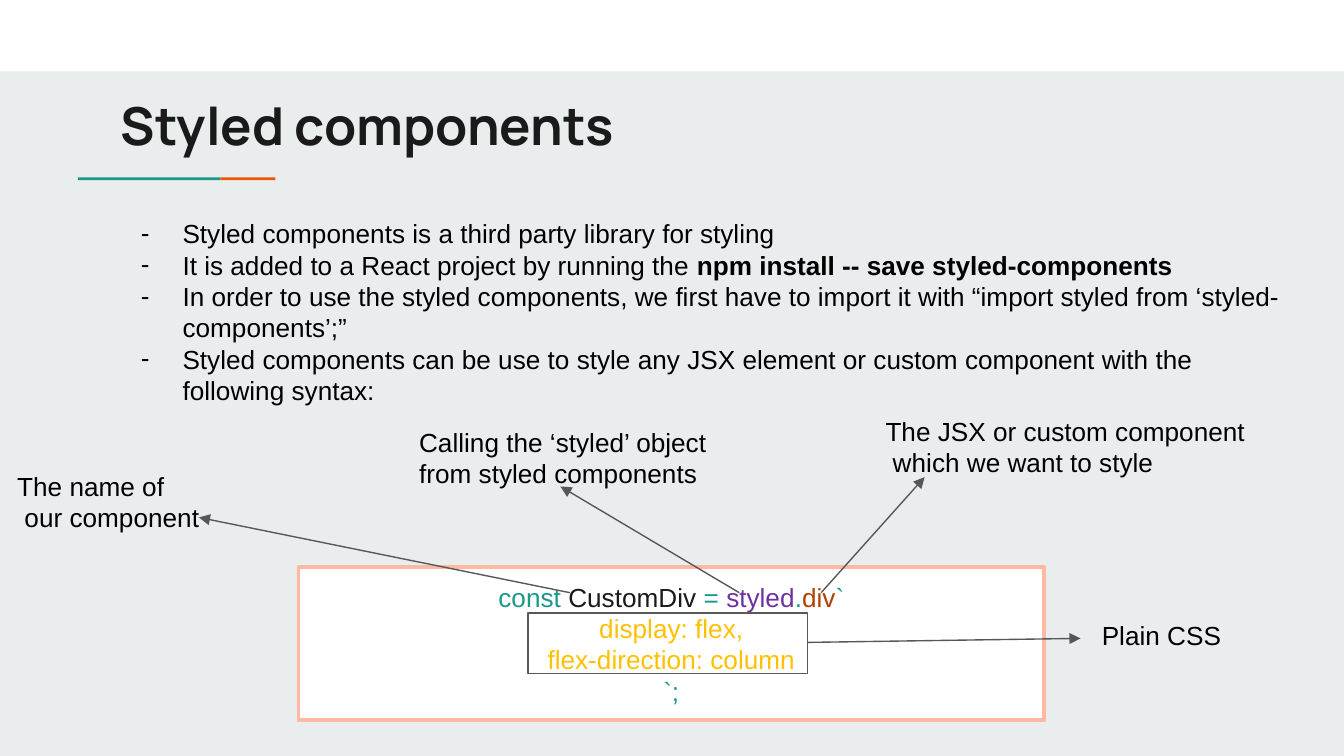
from dataclasses import dataclass

from lxml import etree
from pptx import Presentation
from pptx.dml.color import RGBColor
from pptx.enum.shapes import MSO_CONNECTOR, MSO_SHAPE
from pptx.enum.text import MSO_ANCHOR, PP_ALIGN
from pptx.oxml.ns import qn
from pptx.util import Inches, Pt

RECT = MSO_SHAPE.RECTANGLE
STRAIGHT = MSO_CONNECTOR.STRAIGHT
TOP, MIDDLE = MSO_ANCHOR.TOP, MSO_ANCHOR.MIDDLE
LEFT, CENTER = PP_ALIGN.LEFT, PP_ALIGN.CENTER


@dataclass(frozen=True)
class Theme:
    background: str = "E9EDEE"
    white: str = "FFFFFF"
    black: str = "000000"
    ink: str = "1A1A1A"
    teal: str = "1A9988"
    orange: str = "EB5600"
    peach: str = "FFB8A2"
    purple: str = "7030A0"
    rust: str = "B04100"
    yellow: str = "FFC000"
    frame: str = "595959"
    arrow: str = "575757"
    title_font: str = "Manrope"
    body_font: str = "Arial"
    title_size: int = 28
    body_size: int = 14


THEME = Theme()


def rgb(color):
    return RGBColor.from_string(color)


def add_bullet(p, char="-", indent=0.31):
    pPr = p._p.get_or_add_pPr()
    pPr.set("marL", str(Inches(indent)))
    pPr.set("indent", str(-Inches(indent)))
    color = etree.SubElement(pPr, qn("a:buClr"))
    etree.SubElement(color, qn("a:srgbClr"), val=THEME.black)
    etree.SubElement(pPr, qn("a:buFont"), typeface=THEME.body_font)
    etree.SubElement(pPr, qn("a:buChar"), char=char)


def write_text(tf, paragraphs, *, size=THEME.body_size, font=THEME.body_font,
               color=THEME.black, bold=False, align=LEFT, anchor=TOP,
               wrap=True, bullet=False):
    tf.word_wrap = wrap
    tf.vertical_anchor = anchor
    for i, runs in enumerate(paragraphs):
        p = tf.paragraphs[0] if i == 0 else tf.add_paragraph()
        p.alignment = align
        if bullet:
            add_bullet(p)
        for text, fmt in [(runs, {})] if isinstance(runs, str) else runs:
            r = p.add_run()
            r.text = text
            r.font.name = font
            r.font.size = Pt(size)
            r.font.bold = fmt.get("bold", bold)
            r.font.color.rgb = rgb(fmt.get("color", color))


def add_text(s, box, paragraphs, **fmt):
    sp = s.shapes.add_textbox(*map(Inches, box))
    write_text(sp.text_frame, paragraphs, **fmt)


def add_rect(s, box, fill=None, line=None, width=0.75):
    sp = s.shapes.add_shape(RECT, *map(Inches, box))
    sp.shadow.inherit = False
    if fill:
        sp.fill.solid()
        sp.fill.fore_color.rgb = rgb(fill)
    else:
        sp.fill.background()
    if line:
        sp.line.color.rgb = rgb(line)
        sp.line.width = Pt(width)
    else:
        sp.line.fill.background()
    return sp


def add_arrow(s, start, end):
    cxn = s.shapes.add_connector(STRAIGHT, *map(Inches, start + end))
    cxn.line.color.rgb = rgb(THEME.arrow)
    cxn.line.width = Pt(0.75)
    etree.SubElement(cxn.line._get_or_add_ln(), qn("a:tailEnd"), type="triangle")
    etree.SubElement(cxn._element.spPr, qn("a:effectLst"))


def add_callout(s, start, end, box, lines):
    add_arrow(s, start, end)
    add_text(s, box, lines, wrap=False)


def add_header(s):
    add_rect(s, (0, 0, 10, 0.53), THEME.white)
    add_rect(s, (0.58, 1.32, 1.06, 0.02), THEME.teal)
    add_rect(s, (1.64, 1.32, 0.41, 0.02), THEME.orange)
    add_text(s, (0.8, 0.55, 8.41, 0.75), ["Styled components"],
             size=THEME.title_size, font=THEME.title_font, color=THEME.ink,
             bold=True, anchor=MIDDLE)


def add_code(s):
    teal = {"color": THEME.teal}
    sp = add_rect(s, (2.22, 4.22, 5.55, 1.14), THEME.white, THEME.peach, 2)
    write_text(sp.text_frame, [
        [("const ", teal), ("CustomDiv", {"color": THEME.ink}), (" = ", teal),
         ("styled", {"color": THEME.purple}), (".", teal),
         ("div", {"color": THEME.rust}), ("`", teal)],
        "display: flex,",
        "flex-direction: column",
        [("`;", teal)],
    ], color=THEME.yellow, align=CENTER, anchor=MIDDLE)
    add_rect(s, (3.93, 4.56, 2.08, 0.45), line=THEME.frame)


def main():
    prs = Presentation()
    prs.slide_width = Inches(10)
    prs.slide_height = prs.slide_width * 9 // 16
    s = prs.slides.add_slide(prs.slide_layouts[6])
    s.background.fill.solid()
    s.background.fill.fore_color.rgb = rgb(THEME.background)

    add_header(s)
    add_text(s, (0.95, 1.57, 8.81, 1.51), [
        "Styled components is a third party library for styling",
        [("It is added to a React project by running the ", {}),
         ("npm install -- save styled-components", {"bold": True})],
        "In order to use the styled components, we first have to import it "
        "with “import styled from ‘styled-components’;”",
        "Styled components can be use to style any JSX element or custom "
        "component with the following syntax:",
    ], bullet=True)
    add_code(s)

    callouts = [
        ((4.24, 4.41), (1.48, 3.85), (0.03, 3.45, 1.56, 0.57),
         ["The name of", " our component"]),
        ((5.5, 4.41), (4.17, 3.62), (3.02, 3.12, 2.41, 0.57),
         ["Calling the ‘styled’ object ", "from styled components"]),
        ((6.11, 4.41), (6.88, 3.55), (6.49, 3.04, 2.89, 0.57),
         ["The JSX or custom component", " which we want to style"]),
        ((6.01, 4.78), (8.04, 4.75), (8.1, 4.56, 1.1, 0.34), ["Plain CSS"]),
    ]
    for callout in callouts:
        add_callout(s, *callout)
    prs.save("out.pptx")


main()
